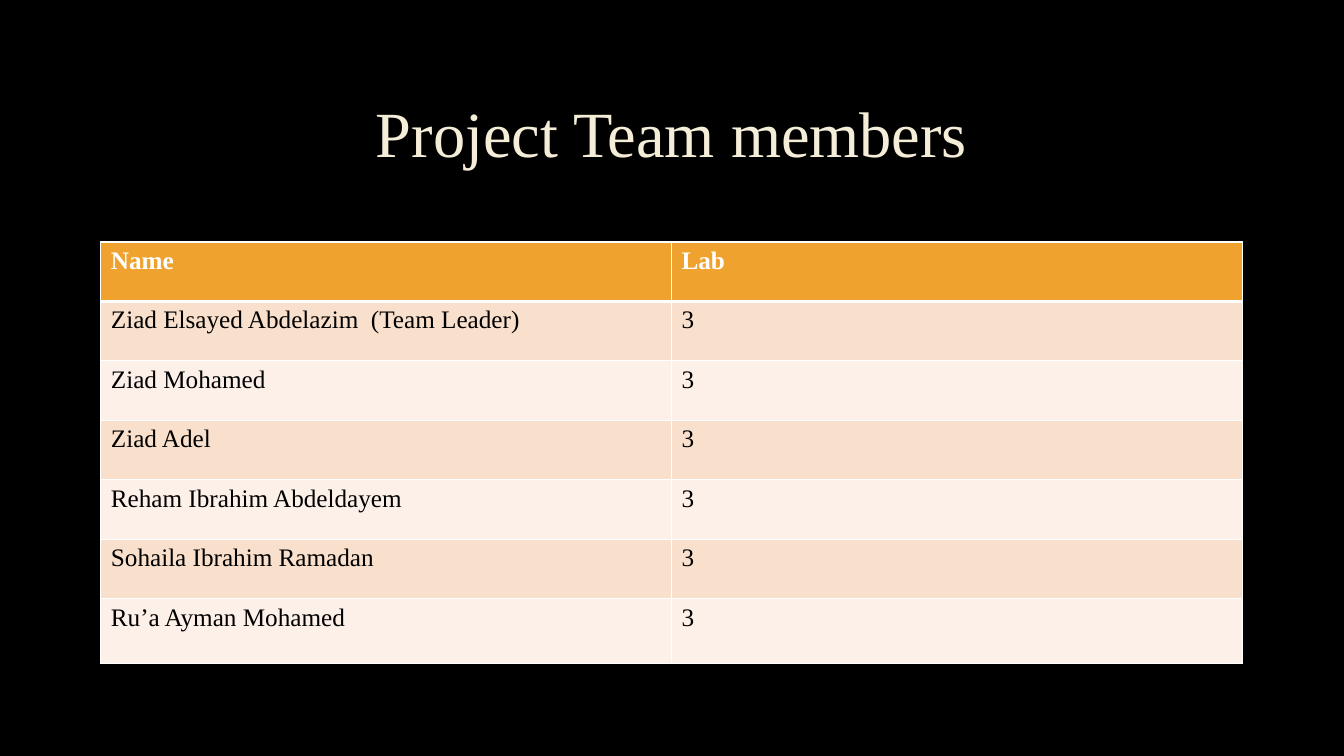
from lxml.etree import SubElement
from pptx import Presentation
from pptx.dml.color import RGBColor
from pptx.enum.text import MSO_ANCHOR, PP_ALIGN
from pptx.oxml.ns import qn
from pptx.util import Inches, Pt

BLACK = RGBColor(0x00, 0x00, 0x00)
WHITE = RGBColor(0xFF, 0xFF, 0xFF)
CREAM = RGBColor(0xF4, 0xED, 0xD8)
ORANGE = RGBColor(0xF0, 0xA2, 0x2E)
PEACH = RGBColor(0xF9, 0xE0, 0xCD)
PALE_PEACH = RGBColor(0xFC, 0xF0, 0xE8)

FONT = "Times New Roman"
LEFT, WIDTH = Inches(1), Inches(11.32)
ROW_HEIGHT, LAST_ROW_HEIGHT = Inches(0.59), Inches(0.64)

HEADER = ("Name", "Lab")
MEMBERS = [
    ("Ziad Elsayed Abdelazim  (Team Leader)", "3"),
    ("Ziad Mohamed", "3"),
    ("Ziad Adel", "3"),
    ("Reham Ibrahim Abdeldayem", "3"),
    ("Sohaila Ibrahim Ramadan", "3"),
    ("Ru’a Ayman Mohamed", "3"),
]


def style_font(paragraph, size, color, bold=False):
    font = paragraph.font
    font.name, font.size, font.bold = FONT, Pt(size), bold
    font.color.rgb = color


def add_title(slide, text):
    title = slide.shapes.add_textbox(LEFT, Inches(0.67), WIDTH, Inches(1.38))
    frame = title.text_frame
    frame.word_wrap = True
    frame.vertical_anchor = MSO_ANCHOR.MIDDLE
    paragraph = frame.paragraphs[0]
    paragraph.text = text
    paragraph.alignment = PP_ALIGN.CENTER
    paragraph.line_spacing = 0.9
    style_font(paragraph, 46, CREAM)


def set_borders(cell, top=1, bottom=1):
    """Draw white cell borders, with widths in points."""
    properties = cell._tc.get_or_add_tcPr()
    for side, width in (("L", 1), ("R", 1), ("T", top), ("B", bottom)):
        line = SubElement(properties, qn(f"a:ln{side}"), w=str(Pt(width)))
        fill = SubElement(line, qn("a:solidFill"))
        SubElement(fill, qn("a:srgbClr"), val=str(WHITE))


def fill_cell(cell, text, row):
    is_header = row == 0
    # Borders come before the fill in the cell properties
    set_borders(cell, top=3 if row == 1 else 1, bottom=3 if is_header else 1)
    cell.fill.solid()
    band = PEACH if row % 2 else PALE_PEACH
    cell.fill.fore_color.rgb = ORANGE if is_header else band
    cell.text = text
    style_font(cell.text_frame.paragraphs[0], 18,
               WHITE if is_header else BLACK, is_header)


def add_team_table(slide, rows):
    height = ROW_HEIGHT * (len(rows) - 1) + LAST_ROW_HEIGHT
    team = slide.shapes.add_table(len(rows), len(HEADER), LEFT, Inches(2.4),
                                  WIDTH, height).table
    for row, values in enumerate(rows):
        is_last = row == len(rows) - 1
        team.rows[row].height = LAST_ROW_HEIGHT if is_last else ROW_HEIGHT
        for column, text in enumerate(values):
            fill_cell(team.cell(row, column), text, row)


def main():
    deck = Presentation()
    deck.slide_width, deck.slide_height = Inches(13.33), Inches(7.5)
    slide = deck.slides.add_slide(deck.slide_layouts[6])

    # Black background
    slide.background.fill.solid()
    slide.background.fill.fore_color.rgb = BLACK

    # Heading and team list
    add_title(slide, "Project Team members")
    add_team_table(slide, [HEADER, *MEMBERS])

    deck.save("out.pptx")


if __name__ == "__main__":
    main()
